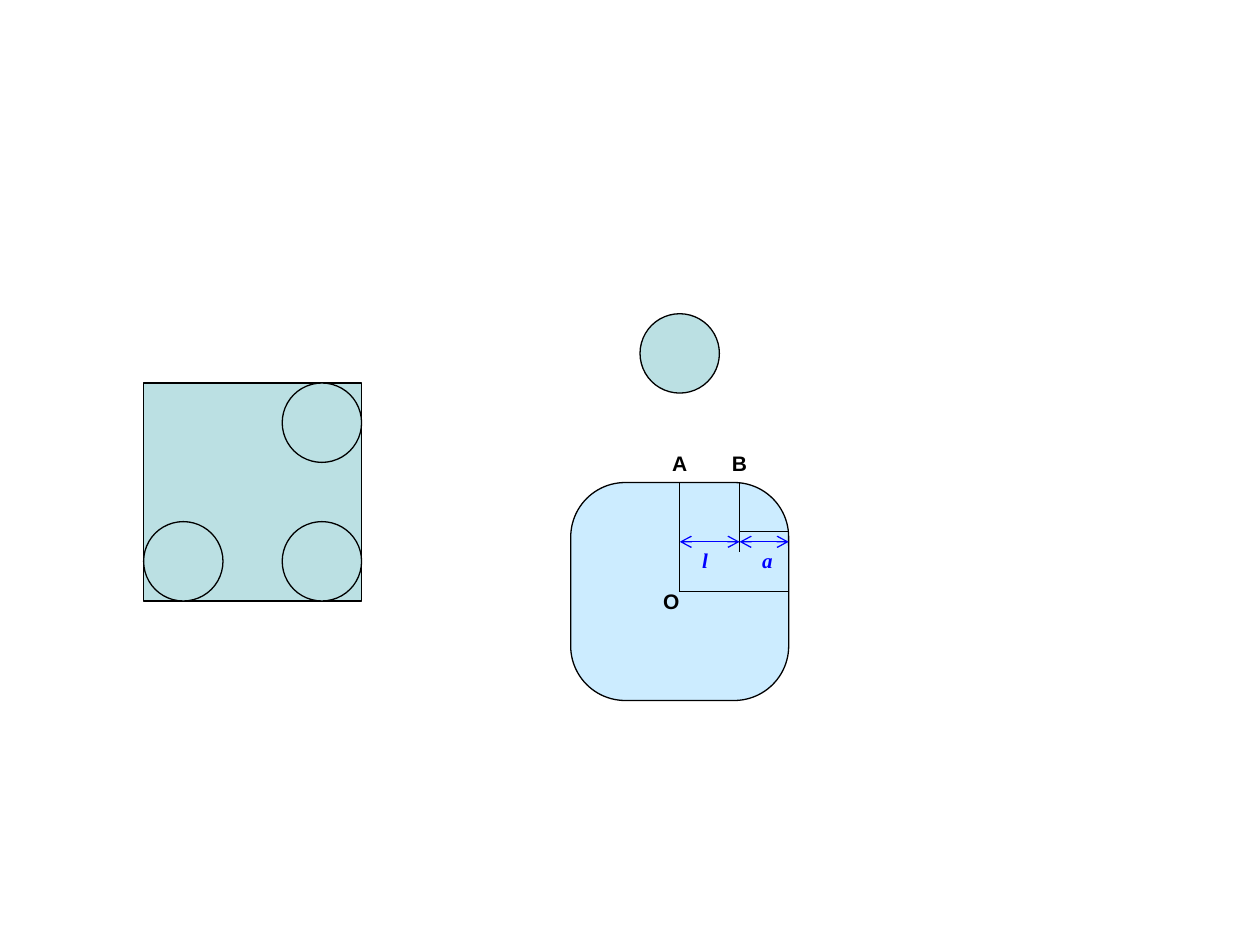
from lxml import etree
from pptx import Presentation
from pptx.dml.color import RGBColor
from pptx.enum import shapes, text
from pptx.oxml import ns
from pptx.util import Inches, Pt

BLACK = RGBColor(0x00, 0x00, 0x00)
BLUE = RGBColor(0x00, 0x00, 0xFF)
TEAL = RGBColor(0xBB, 0xE0, 0xE3)
PALE_BLUE = RGBColor(0xCC, 0xEC, 0xFF)

SIDE = 1.73
DIAMETER = 0.63
LINE_WIDTH = Pt(0.75)


def add_outlined(slide, kind, left, top, size, fill):
    """Add a preset shape as wide as it is high, with a thin black outline."""
    shape = slide.shapes.add_shape(
        kind, Inches(left), Inches(top), Inches(size), Inches(size))
    shape.shadow.inherit = False
    shape.fill.solid()
    shape.fill.fore_color.rgb = fill
    shape.line.color.rgb = BLACK
    shape.line.width = LINE_WIDTH
    return shape


def add_circle(slide, left, top):
    add_outlined(slide, shapes.MSO_SHAPE.OVAL, left, top, DIAMETER, TEAL)


def add_line(slide, start, end, color=BLACK):
    line = slide.shapes.add_connector(
        shapes.MSO_CONNECTOR.STRAIGHT, *map(Inches, start + end))
    line.line.color.rgb = color
    line.line.width = LINE_WIDTH
    etree.SubElement(line._element.spPr, ns.qn("a:effectLst"))
    return line


def add_dimension(slide, start, end):
    """Add a blue line with an open arrowhead at both ends."""
    outline = add_line(slide, start, end, BLUE).line._get_or_add_ln()
    for tag in ("a:headEnd", "a:tailEnd"):
        etree.SubElement(outline, ns.qn(tag), type="arrow")


def add_label(slide, words, left, top, width, font_name="Arial", color=BLACK, italic=None):
    box = slide.shapes.add_textbox(
        Inches(left), Inches(top), Inches(width), Inches(0.3))
    frame = box.text_frame
    frame.word_wrap = False
    frame.auto_size = text.MSO_AUTO_SIZE.SHAPE_TO_FIT_TEXT
    run = frame.paragraphs[0].add_run()
    run.text = words
    run.font.name = font_name
    run.font.size = Pt(12)
    run.font.bold = True
    run.font.italic = italic
    run.font.color.rgb = color


def add_square_with_circles(slide, left, top):
    add_outlined(slide, shapes.MSO_SHAPE.RECTANGLE, left, top, SIDE, TEAL)
    far = SIDE - DIAMETER
    for across, down in ((far, 0), (far, far), (0, far)):
        add_circle(slide, left + across, top + down)


def add_rounded_square(slide, left, top):
    """Add the rounded square with its centre O, points A and B, and lengths l and a."""
    square = add_outlined(
        slide, shapes.MSO_SHAPE.ROUNDED_RECTANGLE, left, top, SIDE, PALE_BLUE)
    square.adjustments[0] = 0.25

    center_x, center_y = left + SIDE / 2, top + SIDE / 2
    right = left + SIDE
    corner_x = right - 0.39
    corner_y = top + 0.39
    dimension_y = top + 0.47

    add_line(slide, (corner_x, corner_y), (right, corner_y))
    add_line(slide, (corner_x, top + 0.55), (corner_x, top))
    center = (center_x, center_y)
    add_line(slide, center, (center_x, top)).end_connect(square, 0)
    add_line(slide, center, (right, center_y)).end_connect(square, 3)

    add_dimension(slide, (center_x, dimension_y), (corner_x, dimension_y))
    add_dimension(slide, (corner_x, dimension_y), (right, dimension_y))

    add_label(slide, "O", center_x - 0.23, center_y - 0.07, 0.33)
    for name, x in (("A", center_x), ("B", corner_x)):
        add_label(slide, name, x - 0.16, top - 0.3, 0.32)
    for name, x, width in (("l", center_x + 0.08, 0.24), ("a", corner_x + 0.08, 0.28)):
        add_label(slide, name, x, dimension_y, width, "Times New Roman", BLUE, True)


def main():
    presentation = Presentation()
    presentation.slide_width = Inches(10)
    presentation.slide_height = Inches(7.5)
    slide = presentation.slides.add_slide(presentation.slide_layouts[6])
    add_rounded_square(slide, 4.53, 3.83)
    add_square_with_circles(slide, 1.14, 3.04)
    add_circle(slide, 5.08, 2.49)
    presentation.save("out.pptx")


if __name__ == "__main__":
    main()
